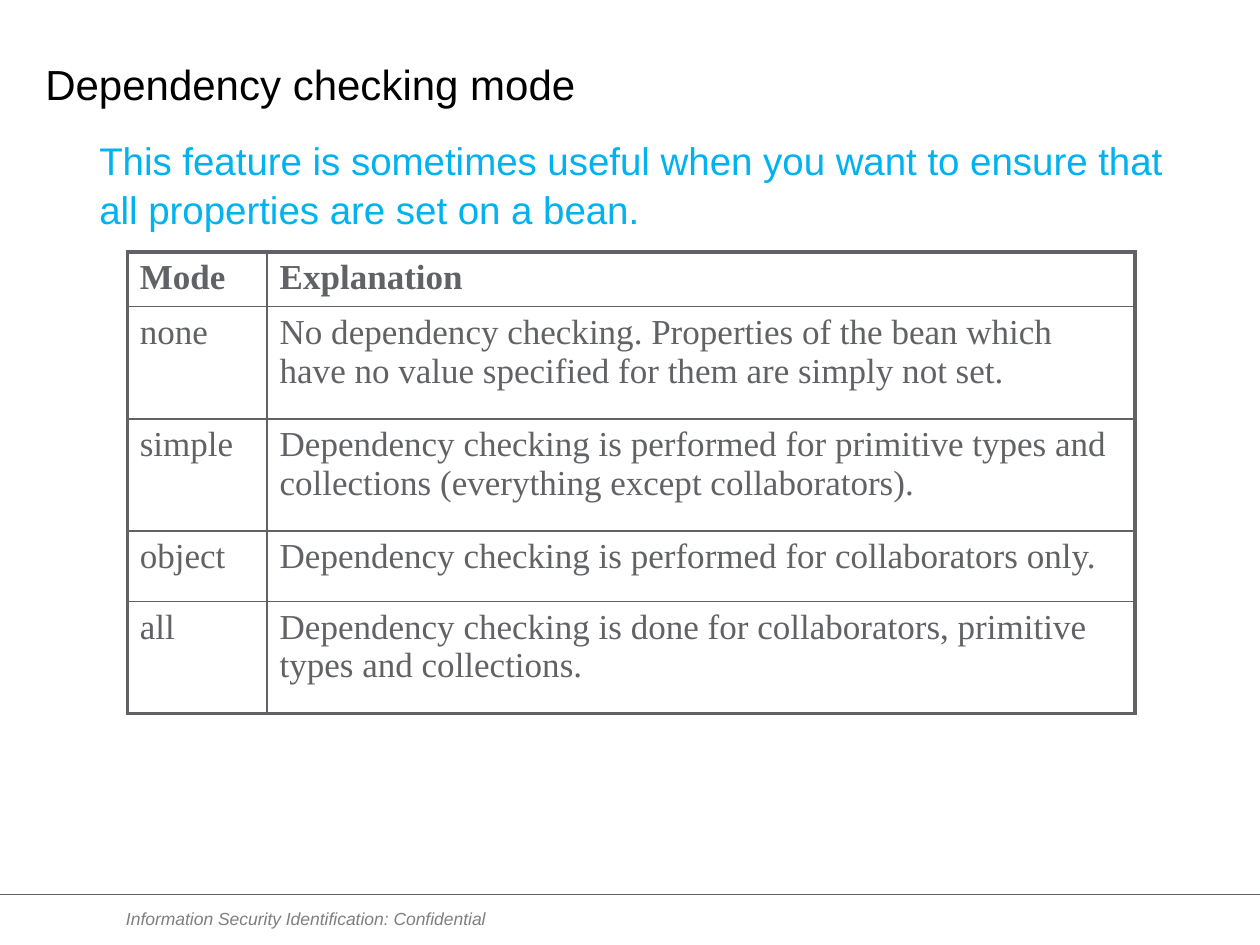
from typing import NamedTuple

from lxml.etree import SubElement as Sub
from pptx import Presentation
from pptx.dml.color import RGBColor as RGB
from pptx.enum.shapes import MSO_CONNECTOR as Link
from pptx.enum.text import MSO_ANCHOR as Anchor
from pptx.oxml.ns import qn
from pptx.util import Inches, Pt

GRAY, MUTED, BLACK, CYAN = "616265", "7F7F7F", "000000", "00B2EF"
THIN, THICK = 1, 2.25


class Box(NamedTuple):
    left: float
    top: float
    width: float
    height: float


class Mode(NamedTuple):
    name: str
    note: str
    height: float


MODES = [
    Mode("Mode", "Explanation", 0.41),
    Mode("none", "No dependency checking. Properties of the bean which have "
         "no value specified for them are simply not set.", 0.89),
    Mode("simple", "Dependency checking is performed for primitive types and "
         "collections (everything except collaborators).", 0.89),
    Mode("object", "Dependency checking is performed for collaborators only.", 0.56),
    Mode("all", "Dependency checking is done for collaborators, primitive "
         "types and collections.", 0.89),
]
WIDTHS = [1.11, 6.89]


def color(code: str) -> RGB:
    return RGB.from_string(code)


def write(frame, text: str, *, size: float, tint: str, font: str = "Arial",
          bold: bool = False, italic: bool = False, space: float = 1):
    """Put one formatted paragraph in a text frame."""
    para = frame.paragraphs[0]
    para.line_spacing = space
    run = para.add_run()
    run.text = text
    face = run.font
    face.name, face.size = font, Pt(size)
    face.bold, face.italic = bold, italic
    face.color.rgb = color(tint)
    return para


def add_text(slide, box: Box, text: str, *, inset: float = 0,
             anchor=Anchor.BOTTOM, **style):
    frame = slide.shapes.add_textbox(*map(Inches, box)).text_frame
    frame.word_wrap = True
    frame.vertical_anchor = anchor
    frame.margin_left = frame.margin_right = Inches(inset)
    frame.margin_top = frame.margin_bottom = Inches(inset / 2)
    return write(frame, text, **style)


def add_edge(cell, side: str, width: float) -> None:
    props = cell._tc.get_or_add_tcPr()
    line = Sub(props, qn(f"a:ln{side}"), w=str(Pt(width)))
    fill = Sub(line, qn("a:solidFill"))
    Sub(fill, qn("a:srgbClr"), val=GRAY)


def add_modes(slide, left: float, top: float) -> None:
    high = sum(mode.height for mode in MODES)
    box = Box(left, top, sum(WIDTHS), high)
    table = slide.shapes.add_table(
        len(MODES), len(WIDTHS), *map(Inches, box)).table
    table.first_row = table.horz_banding = False
    for col, width in zip(table.columns, WIDTHS):
        col.width = Inches(width)
    last, end = len(MODES) - 1, len(WIDTHS) - 1
    for r, mode in enumerate(MODES):
        table.rows[r].height = Inches(mode.height)
        for c, text in enumerate((mode.name, mode.note)):
            cell = table.cell(r, c)
            write(cell.text_frame, text, size=20, tint=GRAY,
                  font="Times New Roman", bold=r == 0)
            # Outer edges are thick, inner ones thin
            outer = {"L": c == 0, "R": c == end, "T": r == 0, "B": r == last}
            for side, thick in outer.items():
                add_edge(cell, side, THICK if thick else THIN)
            cell.fill.background()


def add_rule(slide, y: float) -> None:
    rule = slide.shapes.add_connector(
        Link.STRAIGHT, Inches(0), Inches(y), Inches(10), Inches(y))
    rule.line.color.rgb = color(GRAY)
    rule.line.width = Pt(THIN)
    Sub(rule._element.spPr, qn("a:effectLst"))


def main() -> None:
    deck = Presentation()
    deck.slide_width, deck.slide_height = Inches(10), Inches(7.5)
    slide = deck.slides.add_slide(deck.slide_layouts[6])

    # Footer
    add_rule(slide, 7.1)
    add_text(slide, Box(1, 7.2, 3.4, 0.17),
             "Information Security Identification: Confidential",
             size=10, tint=MUTED, italic=True)

    # Title and lead
    add_text(slide, Box(0.36, 0.15, 9.3, 0.72), "Dependency checking mode",
             size=24, tint=BLACK, space=0.95)
    lead = add_text(slide, Box(0.31, 1.02, 9.3, 5.29),
                    "This feature is sometimes useful when you want to ensure "
                    "that all properties are set on a bean.",
                    size=22, tint=CYAN, inset=0.1, anchor=Anchor.TOP, space=1.06)
    lead.space_after = Pt(6)
    lead._p.get_or_add_pPr().set("marL", str(Inches(0.38)))

    # Table of modes
    add_modes(slide, 1.01, 2)
    deck.save("out.pptx")


if __name__ == "__main__":
    main()
